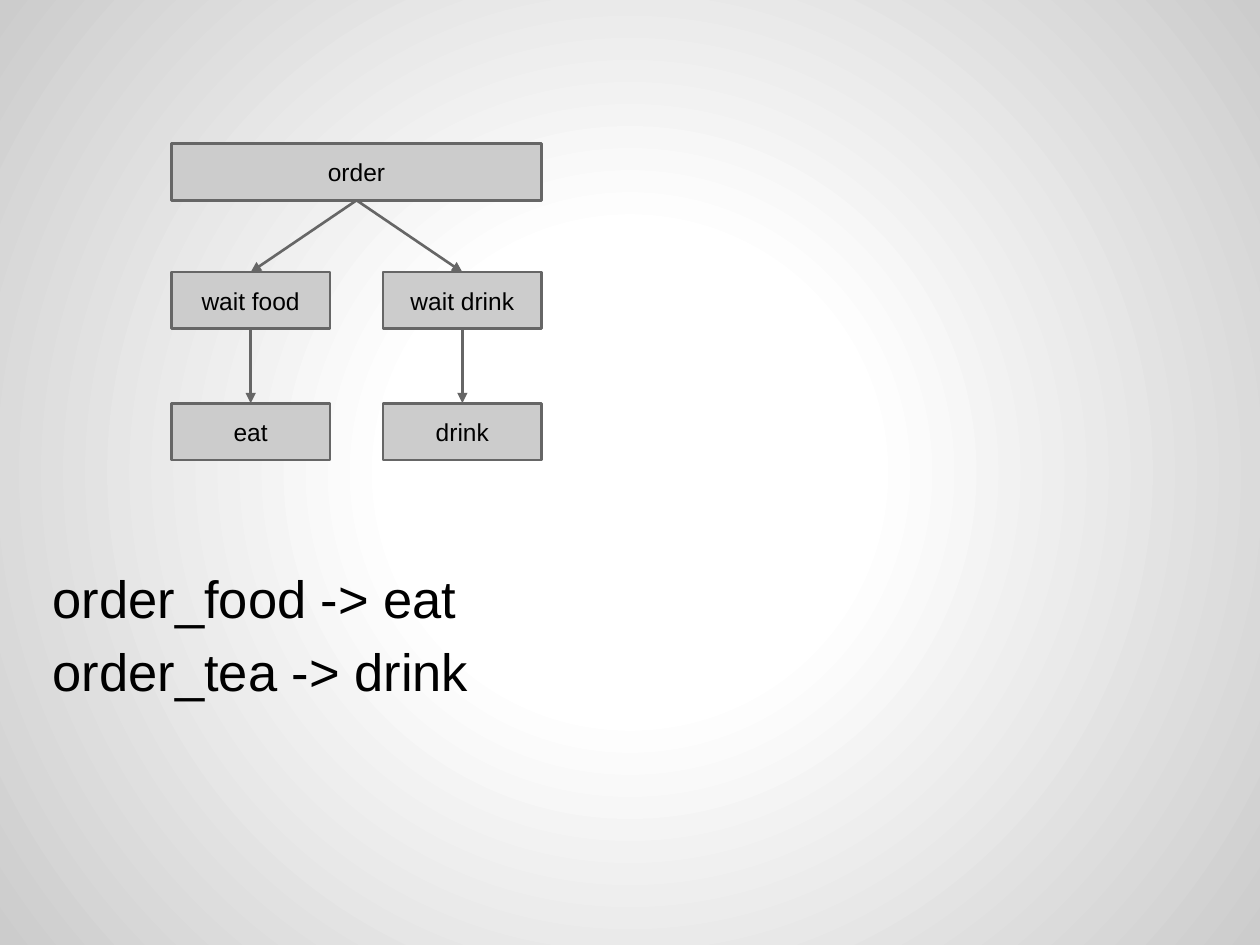
import dataclasses

import lxml.etree
import pptx
import pptx.dml.color
import pptx.enum.shapes
import pptx.enum.text
import pptx.oxml
import pptx.oxml.ns
import pptx.util


@dataclasses.dataclass(frozen=True)
class Theme:
    font: str = "Arial"
    ink: str = "000000"
    box: str = "CCCCCC"
    edge: str = "666666"
    centre: str = "FFFFFF"
    label_size: int = 14
    body_size: int = 30
    line_width: float = 1.5
    inset: float = 0.1


THEME = Theme()
WIDTH, HEIGHT = 10, 7.5
LEFT = 1.36
COL_W, COL_STEP = 1.26, 1.68
ROW_TOPS = (1.14, 2.16, 3.2)
ROW_H = 0.45


def rgb(value):
    return pptx.dml.color.RGBColor.from_string(value)


def paint_background(s):
    s.background.fill.solid()
    solid = s.element.find(".//" + pptx.oxml.ns.qn("p:bgPr"))[0]
    stops = "".join(
        f'<a:gs pos="{pos * 1000}"><a:srgbClr val="{color}"/></a:gs>'
        for pos, color in ((0, THEME.centre), (30, THEME.centre), (100, THEME.box))
    )
    gradient = pptx.oxml.parse_xml(
        f'<a:gradFill {pptx.oxml.ns.nsdecls("a")}><a:gsLst>{stops}</a:gsLst>'
        '<a:path path="circle"><a:fillToRect l="50000" t="50000" r="50000" b="50000"/>'
        "</a:path></a:gradFill>"
    )
    solid.getparent().replace(solid, gradient)


def set_text(sp, lines, size, align, gap=0):
    tf = sp.text_frame
    tf.word_wrap = True
    tf.vertical_anchor = pptx.enum.text.MSO_ANCHOR.MIDDLE
    inset = pptx.util.Inches(THEME.inset)
    tf.margin_left = tf.margin_right = tf.margin_top = tf.margin_bottom = inset
    for i, line in enumerate(lines):
        p = tf.add_paragraph() if i else tf.paragraphs[0]
        p.alignment = align
        if i:
            p.space_before = pptx.util.Pt(gap)
        r = p.add_run()
        r.text = line
        r.font.name = THEME.font
        r.font.size = pptx.util.Pt(size)
        r.font.color.rgb = rgb(THEME.ink)


def style_line(line):
    line.color.rgb = rgb(THEME.edge)
    line.width = pptx.util.Pt(THEME.line_width)


def add_box(s, label, col, row, span=1):
    width = COL_W + (span - 1) * COL_STEP
    frame = (LEFT + col * COL_STEP, ROW_TOPS[row], width, ROW_H)
    sp = s.shapes.add_shape(
        pptx.enum.shapes.MSO_SHAPE.RECTANGLE, *map(pptx.util.Inches, frame)
    )
    sp.shadow.inherit = False
    sp.fill.solid()
    sp.fill.fore_color.rgb = rgb(THEME.box)
    style_line(sp.line)
    set_text(sp, [label], THEME.label_size, pptx.enum.text.PP_ALIGN.CENTER)
    return sp


def add_arrow(s, source, target):
    bottom, top = 2, 0
    c = s.shapes.add_connector(pptx.enum.shapes.MSO_CONNECTOR.STRAIGHT, 0, 0, 0, 0)
    c.begin_connect(source, bottom)
    c.end_connect(target, top)
    style_line(c.line)
    ln = c.line._get_or_add_ln()
    lxml.etree.SubElement(ln, pptx.oxml.ns.qn("a:tailEnd"), type="triangle")
    lxml.etree.SubElement(c._element.spPr, pptx.oxml.ns.qn("a:effectLst"))


def add_rules(s, lines):
    frame = (0.032 * WIDTH, 0.548 * HEIGHT, 0.4 * WIDTH, 0.246 * HEIGHT)
    sp = s.shapes.add_textbox(*map(pptx.util.Inches, frame))
    set_text(sp, lines, THEME.body_size, pptx.enum.text.PP_ALIGN.LEFT, gap=6)


def main():
    prs = pptx.Presentation()
    prs.slide_width = pptx.util.Inches(WIDTH)
    prs.slide_height = pptx.util.Inches(HEIGHT)
    s = prs.slides.add_slide(prs.slide_layouts[6])
    paint_background(s)
    order = add_box(s, "order", 0, 0, span=2)
    for col, (wait, finish) in enumerate((("wait food", "eat"), ("wait drink", "drink"))):
        waiting = add_box(s, wait, col, 1)
        done = add_box(s, finish, col, 2)
        add_arrow(s, order, waiting)
        add_arrow(s, waiting, done)
    add_rules(s, ["order_food -> eat", "order_tea -> drink"])
    prs.save("out.pptx")


if __name__ == "__main__":
    main()
